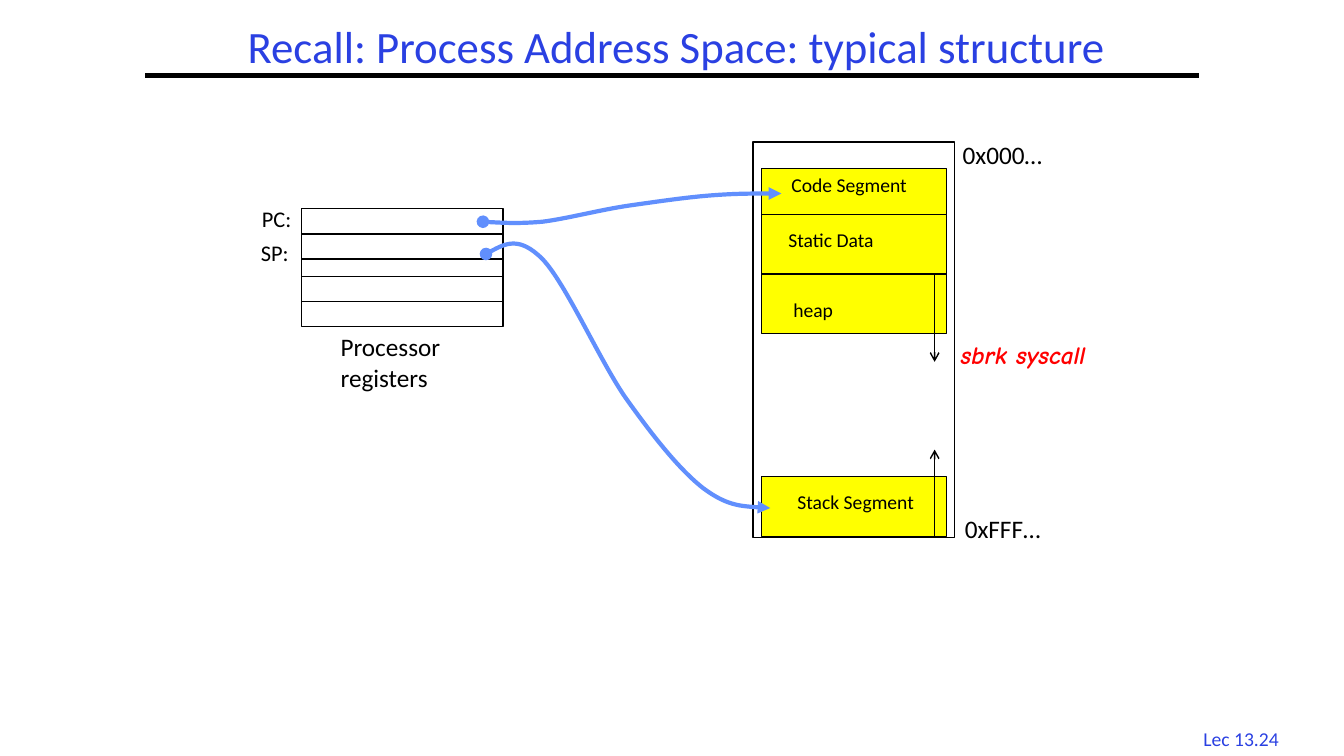
"""Build the slide on the typical structure of a process address space."""
from lxml import etree
from pptx import Presentation, util as u
from pptx.dml.color import RGBColor
from pptx.enum import shapes, text
from pptx.oxml.ns import qn

BLACK, BLUE, CURVE, YELLOW, RED = "000000", "2A40E2", "618FFD", "FFFF00", "FF0000"


def colour(hex_code):
    return RGBColor.from_string(hex_code)


class Diagram:
    def __init__(self, slide, font):
        self.slide = slide
        self.font = font

    def format_text(self, frame, size, hue, font=None, strong=False, align=None):
        frame.word_wrap = True
        for paragraph in frame.paragraphs:
            paragraph.alignment = align
            for run in paragraph.runs:
                run.font.name = font or self.font
                run.font.size = u.Pt(size)
                run.font.color.rgb = colour(hue)
                if strong:
                    run.font.bold = run.font.italic = True

    def title(self, words, *place):
        heading = self.slide.shapes.title
        heading.left, heading.top, heading.width, heading.height = map(u.Inches, place)
        frame = heading.text_frame
        frame.text = words
        frame.auto_size = text.MSO_AUTO_SIZE.NONE
        frame.vertical_anchor = text.MSO_ANCHOR.MIDDLE
        frame.paragraphs[0].line_spacing = 0.9
        self.format_text(frame, 32, BLUE, align=text.PP_ALIGN.CENTER)

    def label(self, words, place, size, hue=BLACK, **style):
        frame = self.slide.shapes.add_textbox(*map(u.Inches, place)).text_frame
        frame.text = words
        self.format_text(frame, size, hue, **style)

    def box(self, *place, fill=None):
        block = self.slide.shapes.add_shape(
            shapes.MSO_SHAPE.RECTANGLE, *map(u.Inches, place))
        block.shadow.inherit = False
        if fill:
            block.fill.solid()
            block.fill.fore_color.rgb = colour(fill)
        else:
            block.fill.background()
        self.stroke(block, BLACK, 1)

    def stroke(self, outline, hue, width, head=None, tail=None):
        outline.line.color.rgb = colour(hue)
        outline.line.width = u.Pt(width)
        ln = outline.element.xpath(".//a:ln")[0]
        for tag, kind in (("a:headEnd", head), ("a:tailEnd", tail)):
            if kind:
                etree.SubElement(ln, qn(tag), type=kind)

    def line(self, start, end, width, tail=None):
        rule = self.slide.shapes.add_connector(
            shapes.MSO_CONNECTOR.STRAIGHT, *map(u.Inches, start + end))
        self.stroke(rule, BLACK, width, tail=tail)
        etree.SubElement(rule.element.spPr, qn("a:effectLst"))

    def pointer(self, points):
        start, *controls = [tuple(map(u.Inches, point)) for point in points]
        builder = self.slide.shapes.build_freeform(*start)
        builder.add_line_segments(controls, close=False)
        curve = builder.convert_to_shape()
        curve.shadow.inherit = False
        curve.fill.background()
        path = curve.element.xpath(".//a:path")[0]
        corners = path.findall(qn("a:lnTo"))
        for first in range(0, len(corners), 3):
            bezier = etree.SubElement(path, qn("a:cubicBezTo"))
            for corner in corners[first:first + 3]:
                bezier.append(corner[0])
                path.remove(corner)
        self.stroke(curve, CURVE, 3, head="oval", tail="triangle")


def main():
    deck = Presentation()
    deck.slide_width, deck.slide_height = u.Inches(13.33), u.Inches(7.5)
    diagram = Diagram(deck.slides.add_slide(deck.slide_layouts[5]), "Calibri")

    diagram.label("Lec 13.24", (11.77, 7.16, 1.08, 0.33), 14, BLUE,
                  align=text.PP_ALIGN.CENTER)
    diagram.line((1.44, 0.75), (11.89, 0.75), 3)
    diagram.title("Recall: Process Address Space: typical structure",
                  1.75, 0.13, 9.92, 0.71)

    for top, height in ((2.07, 1.17), (2.32, 0.25), (2.74, 0.25)):
        diagram.box(2.99, top, 2, height)
    diagram.label("Processor\nregisters", (3.28, 3.24, 1.34, 0.71), 18)
    diagram.label("PC:", (2.5, 1.99, 0.58, 0.37), 16)
    diagram.label("SP:", (2.49, 2.32, 0.56, 0.37), 16)

    diagram.box(7.47, 1.41, 2, 3.92)
    diagram.label("0x000…", (9.45, 1.33, 1.14, 0.4), 18)
    diagram.label("0xFFF…", (9.47, 5.04, 1.18, 0.4), 18)
    segments = (
        ("Code Segment", 1.67, 0.46, 7.75, 1.67),
        ("Static Data", 2.13, 0.59, 7.72, 2.21),
        ("heap", 2.72, 0.59, 7.77, 2.91),
        ("Stack Segment", 4.73, 0.59, 7.81, 4.81),
    )
    for name, top, height, name_left, name_top in segments:
        diagram.box(7.55, top, 1.84, height, fill=YELLOW)
        diagram.label(name, (name_left, name_top, 1.53, 0.34), 14)
    for start, end in ((5.32, 4.46), (2.72, 3.59)):
        diagram.line((9.27, start), (9.27, end), 1, tail="arrow")

    diagram.pointer([
        (4.79, 2.2), (4.97, 2.21), (5.14, 2.22), (5.38, 2.2), (5.62, 2.17),
        (5.96, 2.08), (6.24, 2.04), (6.52, 2), (6.79, 1.96), (7.04, 1.94),
        (7.29, 1.92), (7.52, 1.92), (7.75, 1.92)])
    diagram.pointer([
        (4.82, 2.52), (4.98, 2.43), (5.15, 2.34), (5.38, 2.57), (5.61, 2.81),
        (5.94, 3.56), (6.2, 3.94), (6.47, 4.32), (6.73, 4.65), (6.97, 4.84),
        (7.21, 5.02), (7.43, 5.03), (7.64, 5.04)])
    diagram.label("sbrk syscall", (9.43, 3.32, 1.63, 0.4), 18, RED,
                  font="Comic Neue", strong=True)

    deck.save("out.pptx")


if __name__ == "__main__":
    main()
